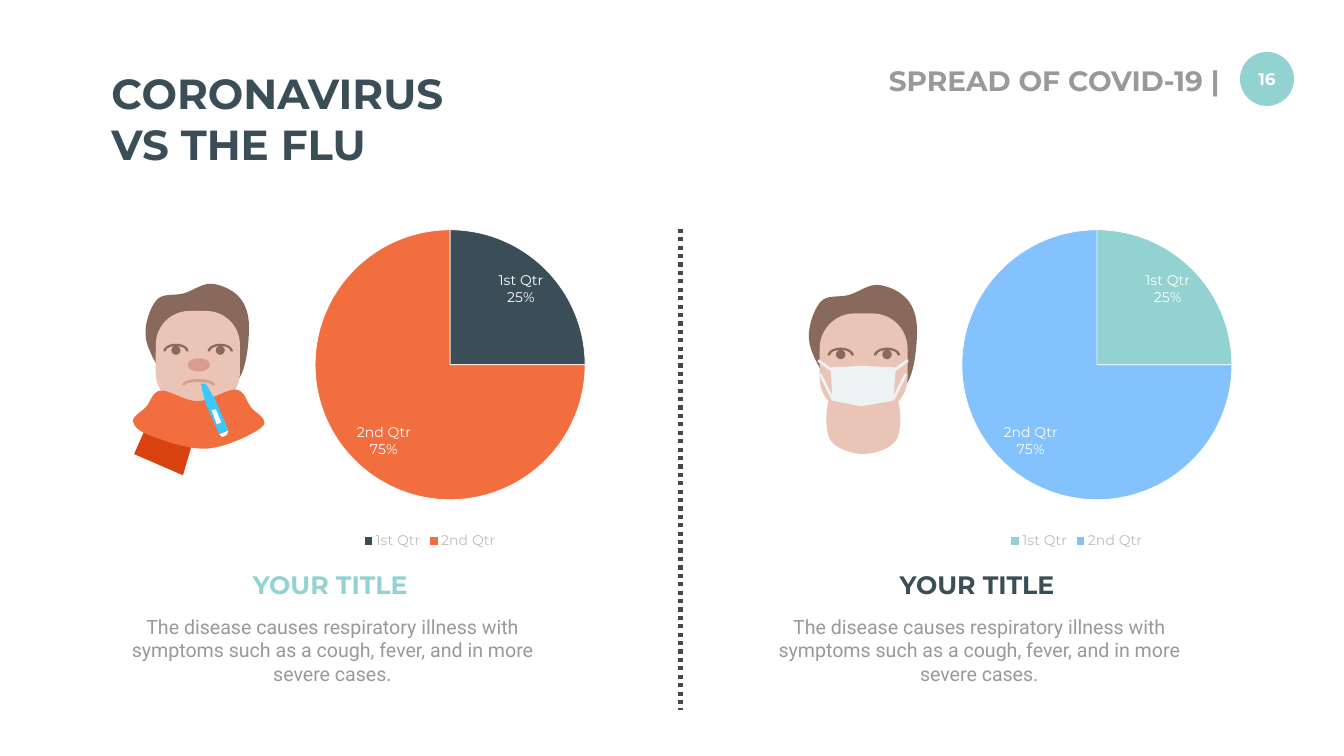
"""Builds the slide comparing coronavirus with the flu: two pies, two figures."""
from lxml.etree import SubElement
from pptx import Presentation
from pptx.chart.data import CategoryChartData
from pptx.dml.color import RGBColor
from pptx.enum.chart import XL_CHART_TYPE, XL_LABEL_POSITION, XL_LEGEND_POSITION
from pptx.enum.dml import MSO_LINE
from pptx.enum.shapes import MSO_CONNECTOR, MSO_SHAPE
from pptx.enum.text import MSO_ANCHOR, MSO_AUTO_SIZE, PP_ALIGN
from pptx.oxml.ns import qn
from pptx.util import Cm, Pt

NAVY, ORANGE, TEAL, BLUE, GRAY, WHITE = "3B4D56", "F36E3F", "92D2D1", "83C2FF", "999999", "FFFFFF"
SKIN, HAIR, MASK, NOSE = "EAC5B7", "89695B", "EDF2F4", "D89D8B"
HEAD_FONT, BODY_FONT = "Montserrat", "Roboto"

TITLE = "CORONAVIRUS\nVS THE FLU"
SECTION = "SPREAD OF COVID-19 |"
PAGE = "16"
TEXT = ("The disease causes respiratory illness with symptoms such as a cough, "
        "fever, and in more severe cases.")
QUARTERS = [("1st Qtr", 25), ("2nd Qtr", 75)]
HALVES = [("YOUR TITLE", TEAL, (NAVY, ORANGE)), ("YOUR TITLE", NAVY, (TEAL, BLUE))]
HALF_STEP = 32.59

UNIT = 2.54 / 100
SMOOTH_STEPS = 8
EYE_GAP = 88
MASK_AXIS = 1712

NECK = [(339, 760), (445, 760), (457, 853), (392, 884), (327, 853)]
HAIR_OUTLINE = [(405, 789), (345, 770), (290, 675), (310, 596), (365, 582),
                (420, 563), (475, 590), (494, 650), (475, 750)]
FACE = (MSO_SHAPE.ROUNDED_RECTANGLE, (309, 617, 167, 189))
EYE = [(MSO_SHAPE.BLOCK_ARC, (324, 682, 50, 30)), (MSO_SHAPE.OVAL, (340, 686, 18, 18))]
SCARF_TAIL = [(308, 806), (394, 837), (363, 943), (266, 901)]
SCARF = [(290, 807), (319, 775), (392, 796), (468, 773), (497, 807),
         (521, 846), (413, 890), (300, 865), (264, 836)]
THERMOMETER = [
    ("3BC8FF", [(398, 761), (408, 761), (427, 793), (453, 853), (435, 861), (408, 801)]),
    (WHITE, [(453, 854), (435, 862), (441, 867), (450, 863)]),
    (WHITE, [(420, 814), (428, 812), (439, 838), (430, 842)]),
]
MOUTH = (MSO_SHAPE.BLOCK_ARC, (361, 752, 66, 24))
NOSTRILS = (MSO_SHAPE.OVAL, (372, 711, 45, 26))
MASK_OUTLINE = [(1648, 729), (1708, 726), (1777, 729), (1772, 795), (1708, 806), (1651, 795)]
STRAPS = [((1623, 715), (1660, 742)), ((1627, 742), (1652, 792))]


def paint(target, colour):
    """Give a fill or a line format a solid colour."""
    target.solid()
    target.fore_color.rgb = RGBColor.from_string(colour)


def fill_plain(sp, colour):
    """Fill a shape, without outline or shadow."""
    sp.shadow.inherit = False
    sp.line.fill.background()
    paint(sp.fill, colour)


def style_font(font, size, colour, name=HEAD_FONT, bold=False):
    """Set size, colour, typeface and weight of a font."""
    font.size, font.name, font.bold = Pt(size), name, bold
    font.color.rgb = RGBColor.from_string(colour)


def write(shape, box, text, align, *font):
    """Place a shape and fill it with evenly formatted text."""
    shape.left, shape.top, shape.width, shape.height = (Cm(v) for v in box)
    tf = shape.text_frame
    tf.text = text
    tf.word_wrap, tf.auto_size, tf.vertical_anchor = True, MSO_AUTO_SIZE.NONE, MSO_ANCHOR.TOP
    for p in tf.paragraphs:
        pPr = p._p.get_or_add_pPr()
        pPr.set("marL", "0")
        pPr.set("indent", "0")
        SubElement(pPr, qn("a:buNone"))
        p.alignment, p.space_before = align, Pt(0)
        for r in p.runs:
            style_font(r.font, *font)


def smooth(points):
    """Run a closed Catmull-Rom curve through the points."""
    curve, n = [], len(points)
    for i in range(n):
        axes = list(zip(*(points[(i + k) % n] for k in (-1, 0, 1, 2))))
        for step in range(SMOOTH_STEPS):
            t = step / SMOOTH_STEPS
            curve.append(tuple(
                b + t * (c - a + t * (2 * a - 5 * b + 4 * c - d + t * (3 * b - a - 3 * c + d))) / 2
                for a, b, c, d in axes))
    return curve


def add_line(shapes, start, end, colour, width):
    """Add a straight line without shadow; positions are in centimetres."""
    line = shapes.add_connector(MSO_CONNECTOR.STRAIGHT, *(Cm(v) for v in start + end))
    paint(line.line.fill, colour)
    line.line.width = Pt(width)
    SubElement(line._element.spPr, qn("a:effectLst"))
    return line


class Figure:
    """A group of drawn parts, scaled and shifted together."""

    def __init__(self, s, dx=0, dy=0, scale=1):
        self.shapes = s.shapes.add_group_shape().shapes
        self.dx, self.dy, self.scale = dx, dy, scale

    def outline(self, points, colour):
        """Draw a closed outline."""
        points = [(Cm((self.dx + x * self.scale) * UNIT), Cm((self.dy + y * self.scale) * UNIT))
                  for x, y in points]
        builder = self.shapes.build_freeform(*points[0])
        builder.add_line_segments(points[1:], close=True)
        fill_plain(builder.convert_to_shape(), colour)

    def preset(self, kind, box, colour, shift=0):
        """Draw a preset shape, optionally shifted sideways."""
        x, y, w, h = (v * self.scale for v in box)
        x += shift * self.scale + self.dx
        sp = self.shapes.add_shape(kind, *(Cm(v * UNIT) for v in (x, y + self.dy, w, h)))
        fill_plain(sp, colour)
        return sp

    def head(self, neck_colour):
        """Draw neck, hair, face and both eyes."""
        self.outline(smooth(NECK), neck_colour)
        self.outline(smooth(HAIR_OUTLINE), HAIR)
        self.preset(*FACE, SKIN).adjustments[0] = 0.4
        for eye in range(2):
            for kind, box in EYE:
                sp = self.preset(kind, box, HAIR, eye * EYE_GAP)
                if kind == MSO_SHAPE.BLOCK_ARC:
                    sp.adjustments[2] = 0.15


def draw_flu(s):
    """Draw the person with a scarf and a thermometer."""
    figure = Figure(s)
    figure.head("E5C3AC")
    figure.outline(SCARF_TAIL, "D8420E")
    figure.outline(smooth(SCARF), ORANGE)
    figure.preset(*MOUTH, NOSE)
    for colour, points in THERMOMETER:
        figure.outline(points, colour)
    figure.preset(*NOSTRILS, NOSE)


def draw_masked(s):
    """Draw the person with a face mask."""
    Figure(s, 1303, -23, 1.045).head(SKIN)
    figure = Figure(s)
    for strap in STRAPS:
        for ends in (strap, [(2 * MASK_AXIS - x, y) for x, y in strap]):
            start, end = (tuple(v * UNIT for v in point) for point in ends)
            add_line(figure.shapes, start, end, MASK, 4)
    figure.outline(MASK_OUTLINE, MASK)


def add_pie(s, left, colours):
    """Add a labelled pie chart with its legend below."""
    data = CategoryChartData()
    data.categories = [name for name, _ in QUARTERS]
    data.add_series("Series 1", [value for _, value in QUARTERS])
    chart = s.shapes.add_chart(XL_CHART_TYPE.PIE, Cm(left), Cm(11.25), Cm(17.09), Cm(16.59), data).chart
    style_font(chart.font, 10, GRAY, "Calibri")
    chart.has_title, chart.has_legend = False, True
    chart.legend.position, chart.legend.include_in_layout = XL_LEGEND_POSITION.BOTTOM, False
    style_font(chart.legend.font, 20, "BDBDBD")
    plot = chart.plots[0]
    plot.vary_by_categories = plot.has_data_labels = True
    labels = plot.data_labels
    labels.show_value, labels.show_category_name, labels.show_percentage = False, True, True
    labels.position = XL_LABEL_POSITION.INSIDE_END
    style_font(labels.font, 20, WHITE)
    separator = SubElement(labels._element, qn("c:separator"))
    separator.text = "\n"
    labels._element.find(qn("c:showBubbleSize")).addnext(separator)
    for i, colour in enumerate(colours):
        fmt = plot.series[0].points[i].format
        paint(fmt.fill, colour)
        paint(fmt.line.fill, WHITE)
        fmt.line.width = Pt(1)
    area = chart._chartSpace.chart.plotArea
    for old in area.findall(qn("c:layout")):
        area.remove(old)
    layout = SubElement(area, qn("c:layout"))
    area.insert(0, layout)
    manual = SubElement(layout, qn("c:manualLayout"))
    for tag, val in [("layoutTarget", "inner"), ("xMode", "edge"), ("yMode", "edge"),
                     ("x", "0.16"), ("y", "0.02"), ("w", "0.8"), ("h", "0.82")]:
        SubElement(manual, qn(f"c:{tag}")).set("val", val)


prs = Presentation()
prs.slide_width, prs.slide_height = Cm(67.72), Cm(38.1)
s = prs.slides.add_slide(prs.slide_layouts[4])
holders = {h.placeholder_format.idx: h for h in s.placeholders}
write(s.shapes.title, (5.36, 3.28, 25.76, 5.38), TITLE, PP_ALIGN.LEFT, 60, NAVY, HEAD_FONT, True)
write(s.shapes.add_textbox(0, 0, 0, 0), (39.5, 3.07, 22.2, 1.96), SECTION, PP_ALIGN.RIGHT,
      40, GRAY, HEAD_FONT, True)
badge = s.shapes.add_shape(MSO_SHAPE.OVAL, 0, 0, 0, 0)
write(badge, (62.48, 2.62, 2.72, 2.72), PAGE, PP_ALIGN.CENTER, 24, WHITE, HEAD_FONT, True)
fill_plain(badge, TEAL)
tf = badge.text_frame
tf.vertical_anchor = MSO_ANCHOR.MIDDLE
tf.margin_left = tf.margin_right = 0
for i, (heading, colour, slices) in enumerate(HALVES):
    dx = i * HALF_STEP
    add_pie(s, 13.11 + dx, slices)
    write(holders[1 + 2 * i], (7.85 + dx, 28.58, 17.58, 1.8), heading, PP_ALIGN.CENTER,
          36, colour, HEAD_FONT, True)
    write(holders[2 + 2 * i], (5.03 + dx, 30.86, 23.44, 3.84), TEXT, PP_ALIGN.CENTER,
          28, GRAY, BODY_FONT)
draw_flu(s)
draw_masked(s)
add_line(s.shapes, (34.29, 11.53), (34.29, 35.79), "464745", 6).line.dash_style = MSO_LINE.ROUND_DOT
prs.save("out.pptx")
